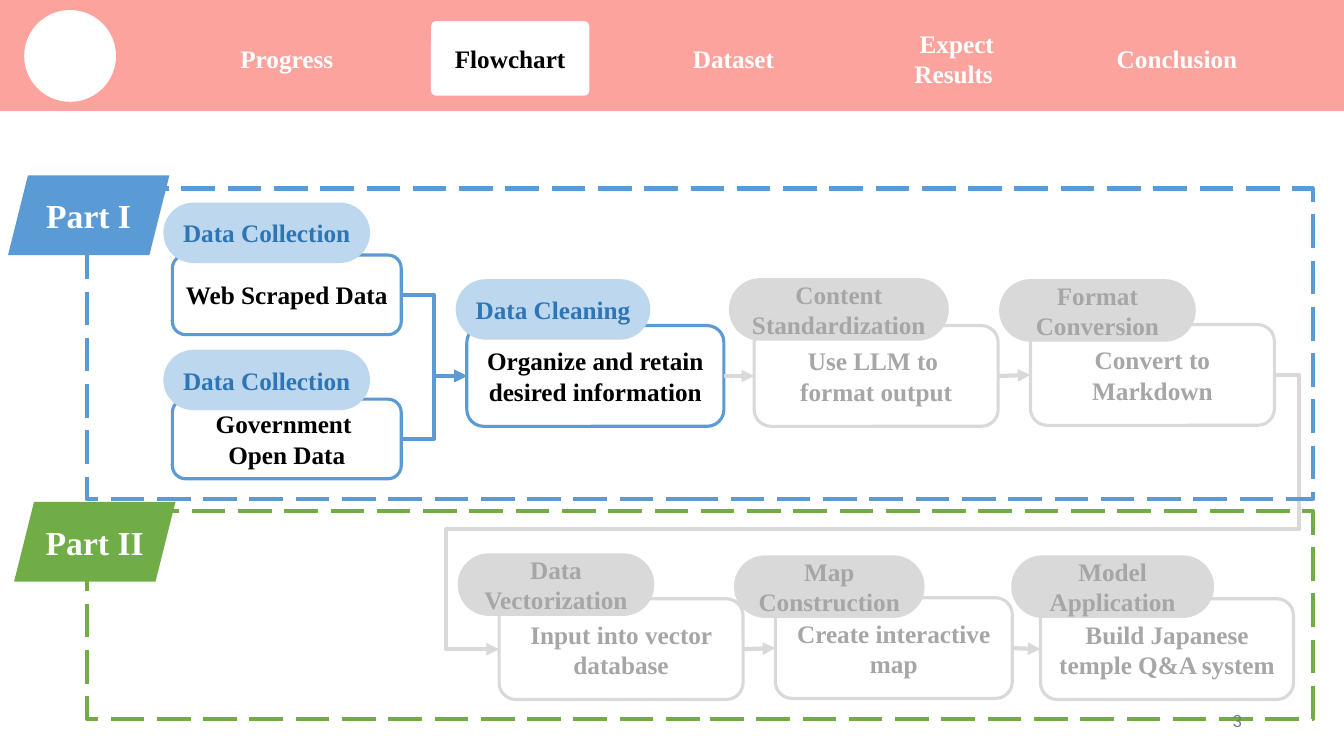
from lxml import etree
from pptx import Presentation
from pptx.dml.color import RGBColor
from pptx.enum.dml import MSO_LINE
from pptx.enum.shapes import MSO_CONNECTOR, MSO_SHAPE
from pptx.enum.text import MSO_ANCHOR, PP_ALIGN
from pptx.oxml.ns import qn
from pptx.util import Inches, Pt

RECT, ROUND, OVAL = MSO_SHAPE.RECTANGLE, MSO_SHAPE.ROUNDED_RECTANGLE, MSO_SHAPE.OVAL
SLANT = MSO_SHAPE.PARALLELOGRAM
LINE, ELBOW = MSO_CONNECTOR.STRAIGHT, MSO_CONNECTOR.ELBOW
DASH, MIDDLE = MSO_LINE.LONG_DASH, MSO_ANCHOR.MIDDLE
CENTER, RIGHT = PP_ALIGN.CENTER, PP_ALIGN.RIGHT
LEFT_SIDE, RIGHT_SIDE = 1, 3

COLORS = {
    "blue": "5B9BD5", "pale": "BDD7EE", "deep": "2E75B6", "green": "70AD47",
    "gray": "D9D9D9", "dim": "A6A6A6", "pink": "FDA39E", "white": "FFFFFF",
    "black": "000000", "page": "797979",
}

prs = Presentation()
prs.slide_width, prs.slide_height = Inches(13.33), Inches(7.5)
slide = prs.slides.add_slide(prs.slide_layouts[6])
shapes = slide.shapes


def rgb(name):
    return RGBColor.from_string(COLORS[name])


def add(kind, at, fill=None, line=None, width=2.25, text="", ink="white", size=18, adj=None):
    shape = shapes.add_shape(kind, *[Inches(v) for v in at])
    shape.shadow.inherit = False
    if adj is not None:
        shape.adjustments[0] = adj
    if fill:
        shape.fill.solid()
        shape.fill.fore_color.rgb = rgb(fill)
    else:
        shape.fill.background()
    if line:
        shape.line.color.rgb = rgb(line)
        shape.line.width = Pt(width)
    else:
        shape.line.fill.background()
    if text:
        frame = shape.text_frame
        frame.word_wrap = True
        frame.vertical_anchor = MIDDLE
        frame.margin_left = frame.margin_right = Inches(0.08)
        for i, part in enumerate(text.split("\n")):
            para = frame.paragraphs[0] if i == 0 else frame.add_paragraph()
            para.alignment = CENTER
            run = para.add_run()
            run.text = part
            run.font.name = "Times New Roman"
            run.font.size = Pt(size)
            run.font.bold = True
            run.font.color.rgb = rgb(ink)
    return shape


steps = [
    ("web", "Web Scraped Data", (1.71, 2.53, 2.27, 0.79), "Data Collection", (1.62, 2.01, 2.05), True),
    ("map", "Create interactive map", (7.69, 5.93, 2.35, 1), "Map Construction", (7.29, 5.52, 1.87), False),
    ("open", "Government \nOpen Data", (1.71, 3.96, 2.27, 0.79), "Data Collection", (1.62, 3.47, 2.05), True),
    ("clean", "Organize and retain desired information", (4.63, 3.23, 2.55, 1), "Data Cleaning", (4.52, 2.77, 1.93), True),
    ("mark", "Convert to Markdown", (10.22, 3.22, 2.42, 1), "Format Conversion", (9.92, 2.78, 1.93), False),
    ("vector", "Input into vector database", (4.95, 5.94, 2.42, 1), "Data Vectorization", (4.55, 5.5, 1.93), False),
    ("model", "Build Japanese temple Q&A system", (10.32, 5.94, 2.51, 1), "Model Application", (10.04, 5.52, 1.99), False),
    ("format", "Use LLM to \nformat output", (7.48, 3.23, 2.42, 1), "Content Standardization", (7.24, 2.77, 2.16), False),
]
boxes = {}
for key, text, at, title, spot, done in steps:
    boxes[key] = add(ROUND, at, line="blue" if done else "gray", text=text,
                     ink="black" if done else "dim")
    add(ROUND, (*spot, 0.6), "pale" if done else "gray", None if done else "gray", 1.5,
        title, "deep" if done else "dim", adj=0.5)

links = [
    ("web", "clean", ELBOW, "blue"), ("open", "clean", ELBOW, "blue"),
    ("clean", "format", LINE, "gray"), ("format", "mark", LINE, "gray"),
    ("mark", "vector", ELBOW, "gray"),
    ("vector", "map", LINE, "gray"), ("map", "model", LINE, "gray"),
]
for start, end, kind, color in links:
    link = shapes.add_connector(kind, 0, 0, 0, 0)
    link.begin_connect(boxes[start], RIGHT_SIDE)
    link.end_connect(boxes[end], LEFT_SIDE)
    link.line.color.rgb = rgb(color)
    link.line.width = Pt(3)
    props = link._element.spPr
    etree.SubElement(props.find(qn("a:ln")), qn("a:tailEnd"), type="triangle")
    etree.SubElement(props, qn("a:effectLst"))
    if start == "mark":
        geom = props.find(qn("a:prstGeom"))
        geom.set("prst", "bentConnector5")
        guides = geom.find(qn("a:avLst"))
        for i, value in enumerate((-3200, 56300, 106800), 1):
            etree.SubElement(guides, qn("a:gd"), name=f"adj{i}", fmla=f"val {value}")

parts = [
    ("Part I", "blue", 1.87, 3.08, (0.08, 1.74)),
    ("Part II", "green", 5.07, 2.06, (0.14, 4.98)),
]
for name, color, top, height, spot in parts:
    frame = add(RECT, (0.86, top, 12.16, height), line=color, width=3)
    frame.line.dash_style = DASH
for name, color, top, height, spot in parts:
    add(SLANT, (*spot, 1.6, 0.79), color, text=name, size=24)

page = shapes.add_textbox(Inches(9.42), Inches(6.95), Inches(3), Inches(0.4)).text_frame
page.word_wrap = True
page.vertical_anchor = MIDDLE
page.paragraphs[0].alignment = RIGHT
run = page.paragraphs[0].add_run()
run.text = "3"
run.font.name = "Roboto"
run.font.size = Pt(12)
run.font.color.rgb = rgb("page")

add(RECT, (0, 0, 13.33, 1.1), "pink")
add(OVAL, (0.24, 0.1, 0.91, 0.91), "white")
tabs = ["Progress", "Flowchart", "Dataset", "Expect Results ", "Conclusion "]
for i, tab in enumerate(tabs):
    here = tab == "Flowchart"
    add(ROUND, (2.06 + 2.215 * i, 0.21, 1.57, 0.74), "white" if here else None,
        text=tab, ink="black" if here else "white", adj=0.07)

prs.save("out.pptx")
